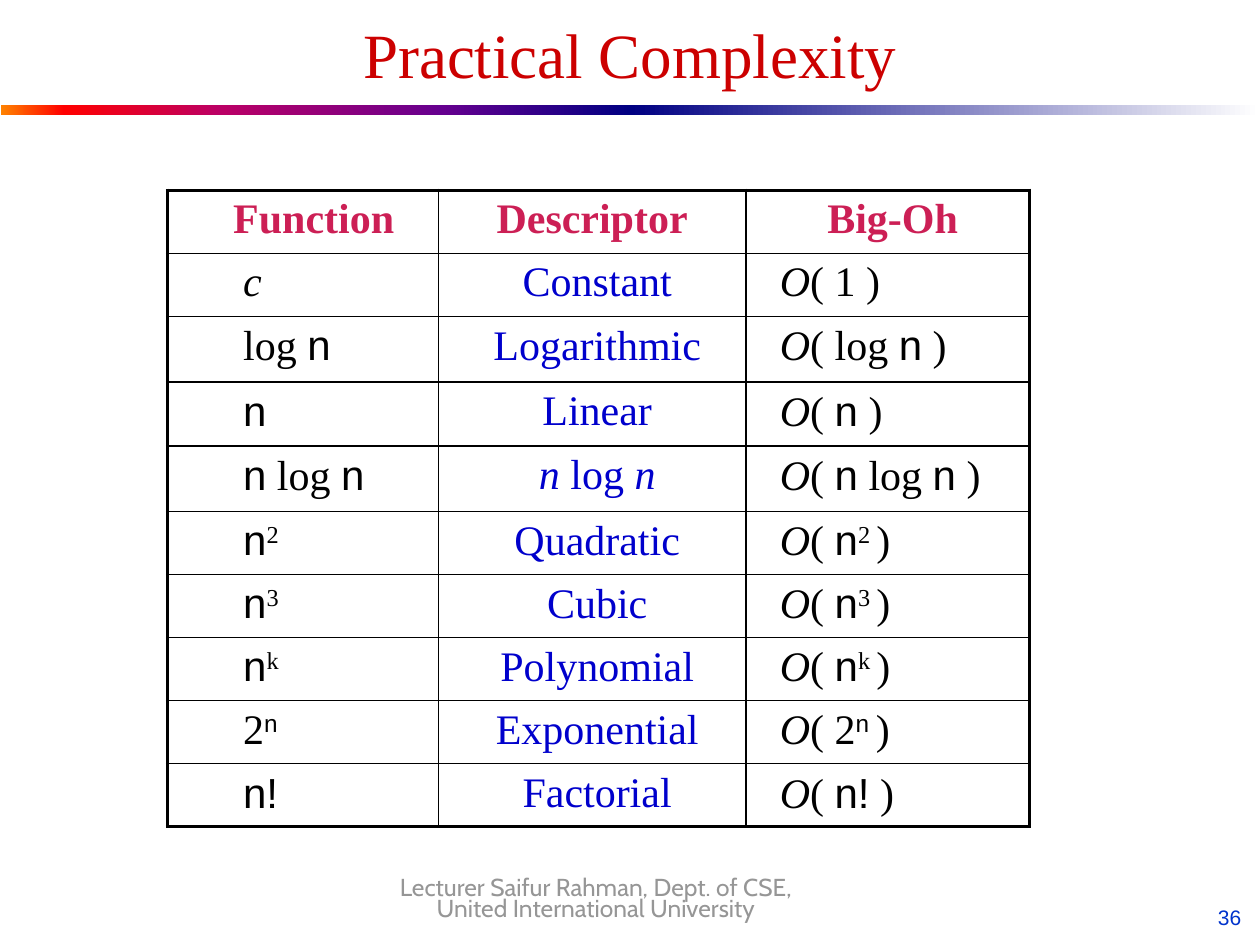
"""Build the Practical Complexity slide with its growth-rate table."""
from lxml.etree import SubElement
from pptx import Presentation
from pptx.dml.color import RGBColor
from pptx.enum.shapes import MSO_SHAPE
from pptx.enum.text import MSO_ANCHOR, PP_ALIGN
from pptx.oxml import parse_xml
from pptx.oxml.ns import nsdecls, qn
from pptx.util import Inches, Pt

COLORS = {
    "title": "CC0000",
    "header": "CC1F55",
    "descriptor": "0000CC",
    "text": "000000",
    "number": "0033CC",
    "footer": "969696",
}
SERIF = "Times New Roman"
SANS = "Arial"
WARM_STOPS = [(0, "FF8200"), (10, "FF0000"), (35, "BA0066"), (70, "66008F"), (100, "000082")]
COOL_STOPS = [(0, "000082"), (100, "FFFFFF")]

PLAIN, ITALIC, VARIABLE, POWER, VARIABLE_POWER = range(5)
N = ("n", VARIABLE)
COLUMN_WIDTHS = [2.15, 2.44, 2.25]
ROW_HEIGHTS = [0.5, 0.47, 0.52, 0.51, 0.52, 0.47, 0.48, 0.47, 0.47, 0.47]
HEADERS = [("Function", 0.27), ("Descriptor", 0.1), ("Big-Oh", 0.18)]
GROWTH_RATES = [
    ([("c", ITALIC)], [("Constant", PLAIN)]),
    ([("log ", PLAIN), N], [("Logarithmic", PLAIN)]),
    ([N], [("Linear", PLAIN)]),
    ([N, (" log ", PLAIN), N], [("n", ITALIC), (" log ", PLAIN), ("n", ITALIC)]),
    ([N, ("2", POWER)], [("Quadratic", PLAIN)]),
    ([N, ("3", POWER)], [("Cubic", PLAIN)]),
    ([N, ("k", POWER)], [("Polynomial", PLAIN)]),
    ([("2", PLAIN), ("n", VARIABLE_POWER)], [("Exponential", PLAIN)]),
    ([("n!", VARIABLE)], [("Factorial", PLAIN)]),
]


def style_font(font, name, size, color, bold=False):
    """Set typeface, size, colour and weight."""
    font.name = name
    font.size = Pt(size)
    font.bold = bold
    font.color.rgb = RGBColor.from_string(COLORS[color])


def add_label(page, text, bounds, name, size, color, align, margins=(0.1, 0.05)):
    """Add a wrapped one-paragraph text box and return it."""
    box = page.shapes.add_textbox(*map(Inches, bounds))
    frame = box.text_frame
    frame.word_wrap = True
    frame.margin_left = frame.margin_right = Inches(margins[0])
    frame.margin_top = frame.margin_bottom = Inches(margins[1])
    para = frame.paragraphs[0]
    para.text = text
    para.alignment = align
    style_font(para.font, name, size, color)
    return box


def add_gradient_bar(page, left, width, stops):
    """Add half of the rule under the title, shaded from left to right."""
    bar = page.shapes.add_shape(
        MSO_SHAPE.RECTANGLE, Inches(left), Inches(0.83), Inches(width), Inches(0.08))
    bar.shadow.inherit = False
    bar.line.fill.background()
    stop_xml = "".join(
        f'<a:gs pos="{position * 1000}"><a:srgbClr val="{color}"/></a:gs>'
        for position, color in stops)
    gradient = parse_xml(
        f'<a:gradFill {nsdecls("a")} rotWithShape="1"><a:gsLst>{stop_xml}</a:gsLst>'
        '<a:lin ang="0" scaled="1"/></a:gradFill>')
    bar.element.spPr.find(qn("a:prstGeom")).addnext(gradient)


def set_borders(cell, outer_sides):
    """Draw thin cell borders, heavier on the sides at the table's edge."""
    properties = cell._tc.get_or_add_tcPr()
    for index, side in enumerate("LRTB"):
        width = Pt(2.25 if side in outer_sides else 1)
        line = SubElement(properties, qn(f"a:ln{side}"), w=str(width))
        fill = SubElement(line, qn("a:solidFill"))
        SubElement(fill, qn("a:srgbClr"), val=COLORS["text"])
        properties.insert(index, line)


def fill_cell(cell, spans, color, align, left_margin, bold=False):
    """Write styled spans into a cell."""
    cell.fill.background()
    cell.margin_left = Inches(left_margin)
    para = cell.text_frame.paragraphs[0]
    para.alignment = align
    style_font(para.font, SERIF, 24, color, bold)
    for text, kind in spans:
        span = para.add_run()
        span.text = text
        if kind == ITALIC:
            span.font.italic = True
        if kind in (VARIABLE, VARIABLE_POWER):
            span.font.name = SANS
        if kind in (POWER, VARIABLE_POWER):
            span.font._element.set("baseline", "30000")


def big_oh(function):
    """Wrap a function's spans in O( ), with a constant shown as 1."""
    if function == [("c", ITALIC)]:
        function = [("1", PLAIN)]
    text, kind = function[-1]
    if kind in (POWER, VARIABLE_POWER):
        ending = [(text + " ", kind), (")", PLAIN)]
    else:
        ending = [(text, kind), (" )", PLAIN)]
    return [("O", ITALIC), ("( ", PLAIN), *function[:-1], *ending]


def add_complexity_table(page):
    """Add the table of functions, descriptors and Big-Oh forms."""
    row_count, column_count = len(ROW_HEIGHTS), len(COLUMN_WIDTHS)
    table = page.shapes.add_table(
        row_count, column_count, Inches(1.33), Inches(1.51),
        Inches(sum(COLUMN_WIDTHS)), Inches(sum(ROW_HEIGHTS))).table
    table.first_row = table.horz_banding = False
    for column, width in zip(table.columns, COLUMN_WIDTHS):
        column.width = Inches(width)
    for row, height in zip(table.rows, ROW_HEIGHTS):
        row.height = Inches(height)
    for index, (text, margin) in enumerate(HEADERS):
        fill_cell(table.cell(0, index), [(text, PLAIN)], "header", PP_ALIGN.CENTER, margin, True)
    for index, (function, descriptor) in enumerate(GROWTH_RATES, 1):
        fill_cell(table.cell(index, 0), function, "text", PP_ALIGN.LEFT, 0.6)
        fill_cell(table.cell(index, 1), descriptor, "descriptor", PP_ALIGN.CENTER, 0.18)
        fill_cell(table.cell(index, 2), big_oh(function), "text", PP_ALIGN.LEFT, 0.27)
    for row in range(row_count):
        for column in range(column_count):
            edges = {"L": column == 0, "R": column == column_count - 1,
                     "T": row == 0, "B": row == row_count - 1}
            set_borders(table.cell(row, column), [side for side in edges if edges[side]])


def main():
    """Assemble and save the slide."""
    deck = Presentation()
    deck.slide_width, deck.slide_height = Inches(10), Inches(7.5)
    page = deck.slides.add_slide(deck.slide_layouts[6])
    add_gradient_bar(page, 0.01, 5, WARM_STOPS)
    add_gradient_bar(page, 5, 5, COOL_STOPS)
    add_label(page, "36", (7.62, 7.13, 2.33, 0.27), SANS, 12, "number", PP_ALIGN.RIGHT)
    title = add_label(page, "Practical Complexity", (0.5, 0.17, 9, 0.5),
                      SERIF, 36, "title", PP_ALIGN.CENTER)
    title.text_frame.vertical_anchor = MSO_ANCHOR.MIDDLE
    add_complexity_table(page)
    footer = add_label(
        page, "Lecturer Saifur Rahman, Dept. of CSE, United International University",
        (2.96, 6.98, 3.54, 0.35), "Cabin", 14, "footer", PP_ALIGN.CENTER, (0, 0))
    footer.text_frame.paragraphs[0].line_spacing = Pt(12.4)
    deck.save("out.pptx")


if __name__ == "__main__":
    main()
